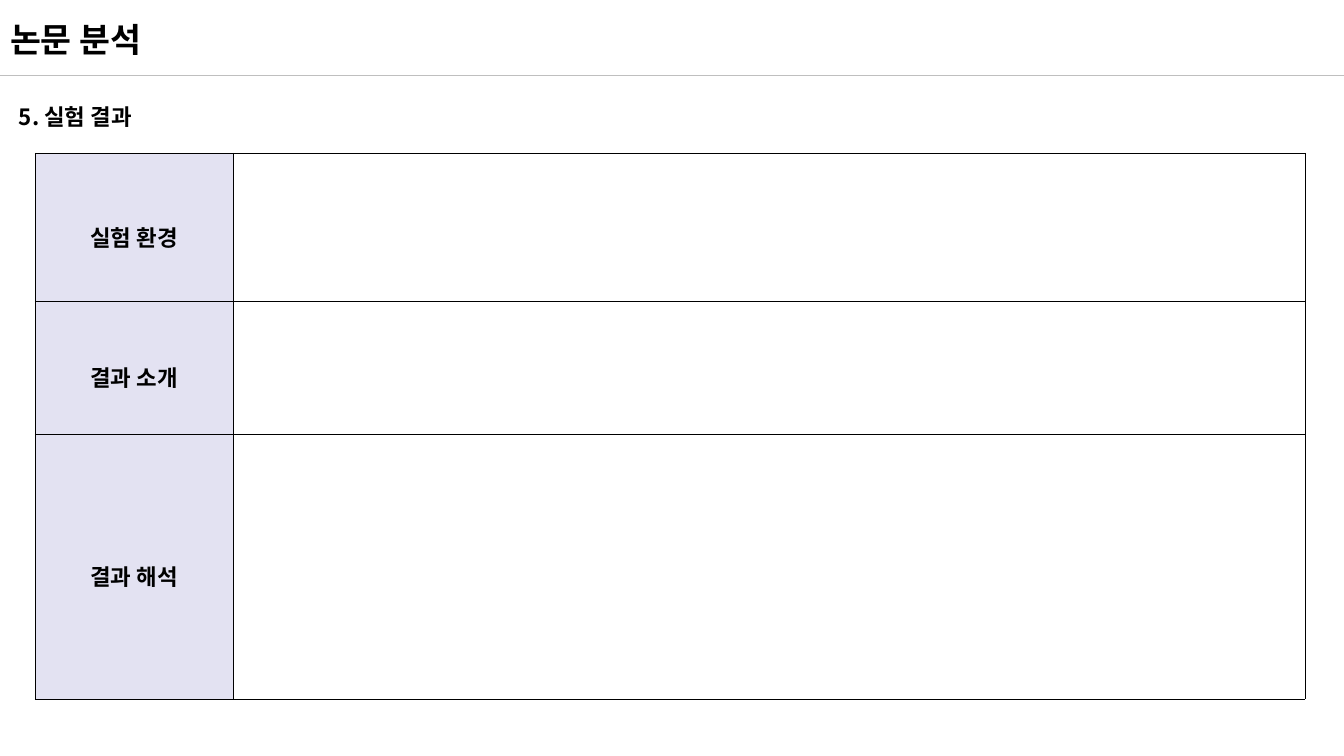
"""Build the experiment results slide of a paper analysis deck."""
import pptx
import pptx.util
import pptx.dml.color
import pptx.enum.shapes
import pptx.enum.text
import pptx.oxml.ns
from lxml import etree

TITLE = "논문 분석"
SECTION = "5. 실험 결과"
ROWS = [("실험 환경", 148), ("결과 소개", 133), ("결과 해석", 265)]
COLUMNS = [198, 1072]

BLACK = pptx.dml.color.RGBColor(0x00, 0x00, 0x00)
WHITE = pptx.dml.color.RGBColor(0xFF, 0xFF, 0xFF)
GRAY = pptx.dml.color.RGBColor(0xBF, 0xBF, 0xBF)
LAVENDER = pptx.dml.color.RGBColor(0xE3, 0xE2, 0xF2)
KOREAN = "Noto Sans CJK KR"
WIDTH, HEIGHT = 1344, 756
BORDER = pptx.util.Pt(0.28)
ALIGN = pptx.enum.text.PP_ALIGN
ANCHOR = pptx.enum.text.MSO_ANCHOR
qn = pptx.oxml.ns.qn


def px(n):
    return round(n * 914400 / 100.8)


def write(tf, text, size, font=KOREAN, align=ALIGN.LEFT, spacing=1.0):
    p = tf.paragraphs[0]
    p.text = text
    p.alignment = align
    p.line_spacing = spacing
    r = p.runs[0]
    r.font.size = pptx.util.Pt(size)
    r.font.bold = True
    r.font.name = font
    r.font.color.rgb = BLACK
    etree.SubElement(r.font._element, qn("a:ea"), typeface=KOREAN)


def add_borders(cell):
    tcPr = cell._tc.get_or_add_tcPr()
    for i, side in enumerate(("a:lnL", "a:lnR", "a:lnT", "a:lnB")):
        ln = etree.Element(qn(side), w=str(BORDER))
        fill = etree.SubElement(ln, qn("a:solidFill"))
        etree.SubElement(fill, qn("a:srgbClr"), val=str(BLACK))
        tcPr.insert(i, ln)


prs = pptx.Presentation()
prs.slide_width, prs.slide_height = px(WIDTH), px(HEIGHT)
s = prs.slides.add_slide(prs.slide_layouts[5])

line = s.shapes.add_connector(
    pptx.enum.shapes.MSO_CONNECTOR.STRAIGHT, 0, px(75), px(WIDTH), px(75))
line.line.color.rgb = GRAY
line.line.width = pptx.util.Pt(0.5)
etree.SubElement(line._element.spPr, qn("a:effectLst"))

title = s.shapes.title
title.left, title.top, title.width, title.height = 0, px(14), px(1294), px(50)
section = s.shapes.add_textbox(px(9), px(85), px(1295), px(92))
for sp, text, size, spacing in ((title, TITLE, 24, 1.0), (section, SECTION, 16, 1.5)):
    tf = sp.text_frame
    tf.word_wrap = True
    tf.vertical_anchor = ANCHOR.TOP
    tf.auto_size = pptx.enum.text.MSO_AUTO_SIZE.SHAPE_TO_FIT_TEXT
    write(tf, text, size, spacing=spacing)

heights = [height for label, height in ROWS]
table = s.shapes.add_table(len(ROWS), len(COLUMNS), px(35), px(153),
                           px(sum(COLUMNS)), px(sum(heights))).table
table.first_row = table.horz_banding = False
for column, width in zip(table.columns, COLUMNS):
    column.width = px(width)
for i, (label, height) in enumerate(ROWS):
    table.rows[i].height = px(height)
    head, body = table.cell(i, 0), table.cell(i, 1)
    for cell, color in ((head, LAVENDER), (body, WHITE)):
        cell.fill.solid()
        cell.fill.fore_color.rgb = color
        add_borders(cell)
    head.vertical_anchor = ANCHOR.MIDDLE
    head.margin_left = head.margin_right = px(7)
    head.margin_top = head.margin_bottom = px(2)
    write(head.text_frame, label, 16, "Arial", ALIGN.CENTER, 1.6)

prs.save("out.pptx")
